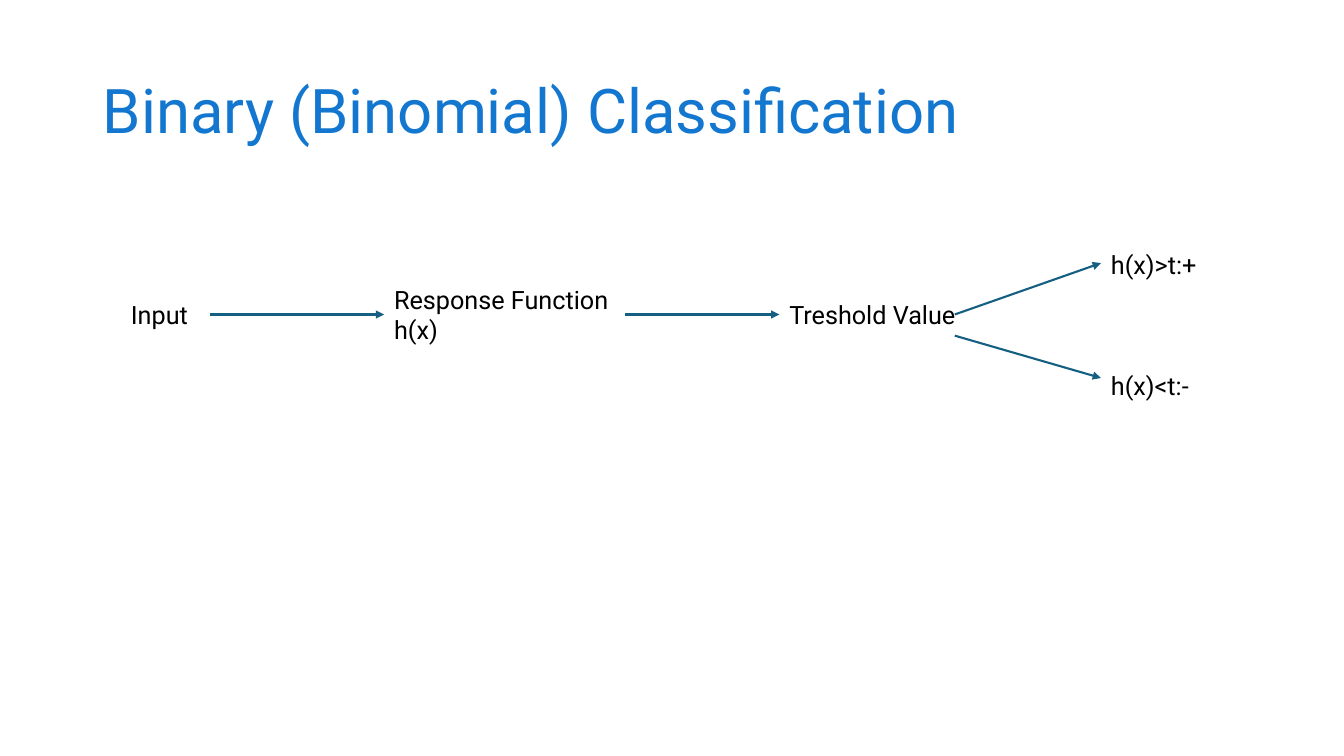
import pptx
import pptx.dml.color
import pptx.enum.shapes
import pptx.enum.text
import pptx.oxml
import pptx.oxml.ns
import pptx.util
from lxml import etree

FONT = "Roboto"
TITLE = "Binary (Binomial) Classification"
TITLE_COLOR, TEXT_COLOR, ARROW_COLOR = "1377D0", "000000", "156082"
FLOW_Y = 3.12  # height of the main flow, in inches
OUTCOME_GAP = 65  # points between the two outcomes

# name: (paragraphs, left, top, width, height) in inches
STEPS = {
    "input": (["Input"], 1.2, FLOW_Y - 0.2, 3.06, 0.4),
    "response": (["Response Function h(x)"], 3.81, FLOW_Y - 0.35, 2.39, 0.7),
    "threshold": (["Treshold Value"], 7.73, FLOW_Y - 0.2, 2.17, 0.4),
    "outcomes": (["h(x)>t:+", "h(x)<t:-"], 10.92, 2.42, 2.05, 3.43),
}
# (start, end, step joined at its right side, step joined at its left side)
ARROWS = [
    ((2.08, FLOW_Y), (3.81, FLOW_Y), None, "response"),
    ((6.2, FLOW_Y), (7.73, FLOW_Y), "response", "threshold"),
    ((9.47, FLOW_Y), (10.92, 2.61), None, None),
    ((9.47, 3.33), (10.92, 3.75), None, None),
]
LEFT_SIDE, RIGHT_SIDE = 1, 3


def rgb(value):
    return pptx.dml.color.RGBColor.from_string(value)


def add_run(paragraph, text, size, color):
    run = paragraph.add_run()
    run.text = text
    run.font.name = FONT
    run.font.size = pptx.util.Pt(size)
    run.font.color.rgb = rgb(color)


def add_title(slide):
    title = slide.shapes.title
    title.left, title.top, title.width, title.height = map(
        pptx.util.Inches, (0.92, 0.4, 11.5, 1.45))
    title.text_frame.vertical_anchor = pptx.enum.text.MSO_ANCHOR.MIDDLE
    paragraph = title.text_frame.paragraphs[0]
    paragraph.alignment = pptx.enum.text.PP_ALIGN.LEFT
    paragraph.line_spacing = 0.9
    add_run(paragraph, TITLE, 44, TITLE_COLOR)


def add_step(slide, lines, *box):
    shape = slide.shapes.add_textbox(*map(pptx.util.Inches, box))
    frame = shape.text_frame
    frame.word_wrap = True
    for index, line in enumerate(lines):
        paragraph = frame.add_paragraph() if index else frame.paragraphs[0]
        if index:
            paragraph.space_before = pptx.util.Pt(OUTCOME_GAP)
        add_run(paragraph, line, 18, TEXT_COLOR)
    return shape


def add_arrow(slide, start, end, source, target):
    arrow = slide.shapes.add_connector(
        pptx.enum.shapes.MSO_CONNECTOR.STRAIGHT,
        *map(pptx.util.Inches, start + end))
    if source:
        arrow.begin_connect(source, RIGHT_SIDE)
    if target:
        arrow.end_connect(target, LEFT_SIDE)
    arrow.line.color.rgb = rgb(ARROW_COLOR)
    arrow.line.width = pptx.util.Pt(1.5)
    qn = pptx.oxml.ns.qn
    properties = arrow._element.spPr
    etree.SubElement(properties.find(qn("a:ln")), qn("a:tailEnd"), type="triangle")
    etree.SubElement(properties, qn("a:effectLst"))


def main():
    presentation = pptx.Presentation()
    presentation.slide_width = pptx.util.Inches(13.33)
    presentation.slide_height = pptx.util.Inches(7.5)
    slide = presentation.slides.add_slide(presentation.slide_layouts[5])
    add_title(slide)
    steps = {name: add_step(slide, *step) for name, step in STEPS.items()}
    for start, end, source, target in ARROWS:
        add_arrow(slide, start, end, steps.get(source), steps.get(target))
    presentation.save("out.pptx")


if __name__ == "__main__":
    main()
